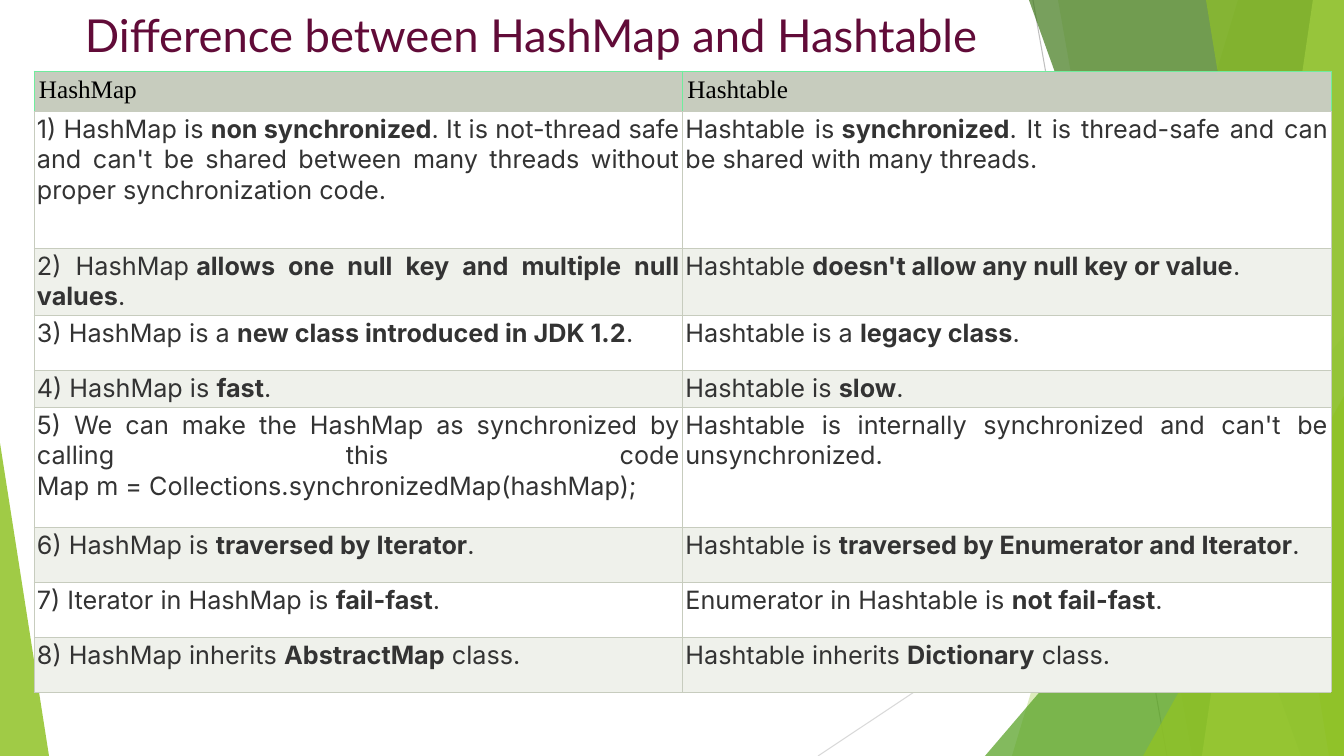
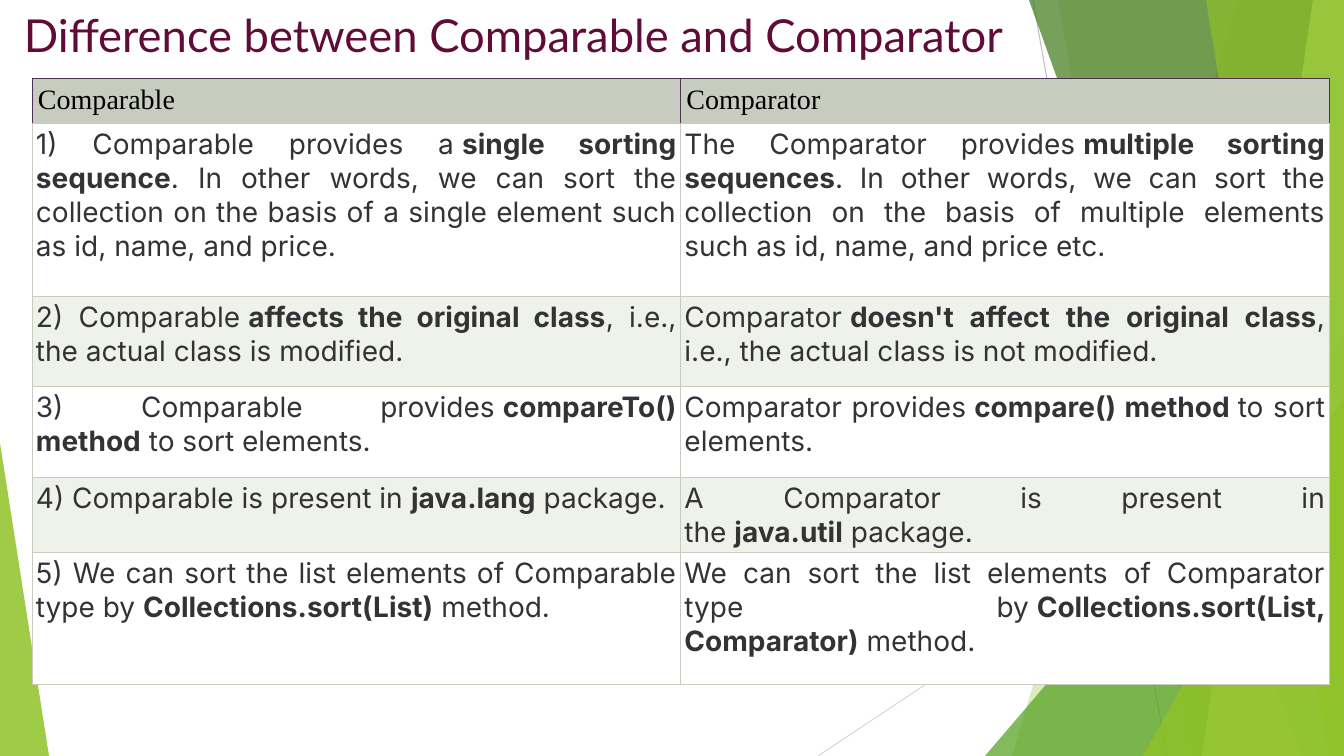
from lxml.etree import SubElement
from pptx import Presentation
from pptx.dml.color import RGBColor
from pptx.enum.shapes import MSO_CONNECTOR as Connector, MSO_SHAPE as Preset
from pptx.enum.text import PP_ALIGN as Align, MSO_ANCHOR as Anchor
from pptx.oxml.ns import qn
from pptx.util import Emu, Pt

SCALE = 914400 / 100.8
WIDTH, HEIGHT = 1344, 756
LIME, LEAF, FOREST, PALE = "90C226", "54A021", "3F7819", "C0E474"
TITLE_COLOR, HEADER_COLOR, BODY_COLOR = "610B38", "000000", "333333"
GRID, BAND, WHITE = "C7CCBE", "EFF1EB", "FFFFFF"
TITLE_FONT, HEADER_FONT, BODY_FONT = "Lato", "Times New Roman", "Inter"

RAYS = [((1033, 0), (1167, HEIGHT), "BFBFBF"), ((WIDTH, 406), (818, HEIGHT), "D9D9D9")]
FACETS = [
    ("blade", (1238, 1012), LIME, 30),
    ("blade", (1058, 1192), LIME, 20),
    ("corner", (985, 336, 359, 420, 1), LEAF, 72),
    ("blade", (1029, 1301), FOREST, 70),
    ("blade", (1313, 1202), PALE, 70),
    ("blade", (1206, 1329), LIME, 65),
    ("corner", (1143, 396, 201, 360, 1), LIME, 80),
    ("corner", (0, 443, 49, 313, 0), LIME, 85),
]

HASHMAP_ROWS = [
    (37, "HashMap", "Hashtable"),
    (137, "1) HashMap is\u00a0**non synchronized**. It is not-thread safe and can't be shared "
          "between many threads without proper synchronization code.",
     "Hashtable is\u00a0**synchronized**. It is thread-safe and can be shared with many threads."),
    (67, "2) HashMap\u00a0**allows one null key and multiple null values**.",
     "Hashtable\u00a0**doesn't allow any null key or value**."),
    (55, "3) HashMap is a\u00a0**new class introduced in JDK 1.2**.",
     "Hashtable is a\u00a0**legacy class**."),
    (37, "4) HashMap is\u00a0**fast**.", "Hashtable is\u00a0**slow**."),
    (120, "5) We can make the HashMap as synchronized by calling this code\v"
          "Map m = Collections.synchronizedMap(hashMap);",
     "Hashtable is internally synchronized and can't be unsynchronized."),
    (55, "6) HashMap is\u00a0**traversed by Iterator**.",
     "Hashtable is\u00a0**traversed by Enumerator and Iterator**."),
    (55, "7) Iterator in HashMap is\u00a0**fail-fast**.",
     "Enumerator in Hashtable is\u00a0**not fail-fast**."),
    (55, "8) HashMap inherits\u00a0**AbstractMap**\u00a0class.",
     "Hashtable inherits\u00a0**Dictionary**\u00a0class."),
]
COMPARABLE_ROWS = [
    (43, "Comparable", "Comparator"),
    (173, "1) Comparable provides a\u00a0**single sorting sequence**. In other words, we can sort "
          "the collection on the basis of a single element such as id, name, and price.",
     "The Comparator provides\u00a0**multiple sorting sequences**. In other words, we can sort "
     "the collection on the basis of multiple elements such as id, name, and price etc."),
    (90, "2) Comparable\u00a0**affects the original class**, i.e., the actual class is modified.",
     "Comparator\u00a0**doesn't affect the original class**, i.e., the actual class is not modified."),
    (91, "3) Comparable provides\u00a0**compareTo() method**\u00a0to sort elements.",
     "Comparator provides\u00a0**compare() method**\u00a0to sort elements."),
    (75, "4) Comparable is present in\u00a0**java.lang**\u00a0package.",
     "A Comparator is present in the\u00a0**java.util**\u00a0package."),
    (132, "5) We can sort the list elements of Comparable type by\u00a0"
          "**Collections.sort(List)**\u00a0method.",
     "We can sort the list elements of Comparator type by\u00a0"
     "**Collections.sort(List, Comparator)**\u00a0method."),
]


def px(length):
    return Emu(round(length * SCALE))


def color(value):
    return RGBColor.from_string(value)


def style_runs(para, font, size, value):
    for run in para.runs:
        run.font.name = font
        run.font.size = Pt(size)
        run.font.color.rgb = color(value)


def add_ray(page, start, end, value):
    ray = page.shapes.add_connector(Connector.STRAIGHT, *map(px, start + end))
    ray.line.color.rgb = color(value)
    ray.line.width = Pt(0.75)
    SubElement(ray.element.spPr, qn("a:effectLst"))


def add_blade(page, top_left, bottom_left):
    outline = page.shapes.build_freeform(top_left, 0, SCALE)
    outline.add_line_segments([(WIDTH, 0), (WIDTH, HEIGHT), (bottom_left, HEIGHT)])
    return outline.convert_to_shape()


def add_corner(page, left, top, width, height, apex):
    corner = page.shapes.add_shape(Preset.ISOSCELES_TRIANGLE, *map(px, (left, top, width, height)))
    corner.adjustments[0] = apex
    return corner


def add_backdrop(page):
    for ray in RAYS:
        add_ray(page, *ray)
    builders = {"blade": add_blade, "corner": add_corner}
    for kind, geometry, value, opacity in FACETS:
        facet = builders[kind](page, *geometry)
        facet.shadow.inherit = False
        facet.line.fill.background()
        facet.fill.solid()
        facet.fill.fore_color.rgb = color(value)
        tint = facet.element.spPr.find(qn("a:solidFill"))[0]
        SubElement(tint, qn("a:alpha"), val=str(opacity * 1000))


def add_title(page, box, title):
    frame = page.shapes.add_textbox(*map(px, box)).text_frame
    frame.word_wrap = True
    frame.vertical_anchor = Anchor.TOP
    frame.text = title
    style_runs(frame.paragraphs[0], TITLE_FONT, 32.4, TITLE_COLOR)


def set_borders(cell, **sides):
    properties = cell._tc.get_or_add_tcPr()
    for index, side in enumerate("LRTB"):
        line = SubElement(properties, qn("a:ln" + side), w=str(Pt(0.5)))
        fill = SubElement(line, qn("a:solidFill"))
        SubElement(fill, qn("a:srgbClr"), val=sides.get(side, GRID))
        properties.insert(index, line)


def fill_cell(cell, text, size, inset, shade):
    cell.margin_left = cell.margin_right = cell.margin_top = cell.margin_bottom = px(inset)
    cell.fill.solid()
    cell.fill.fore_color.rgb = color(shade)
    para = cell.text_frame.paragraphs[0]
    first, *rest = text.split("**")
    para.text = first
    for index, piece in enumerate(rest):
        span = para.add_run()
        span.text = piece
        span.font.bold = index % 2 == 0
    return para


def add_comparison(page, left, top, width, rows, size, edge, insets):
    heights = [row[0] for row in rows]
    box = (left, top, width, sum(heights))
    table = page.shapes.add_table(len(rows), 2, *map(px, box)).table
    table.first_row = table.horz_banding = False
    header_inset, body_inset = insets
    for index, (height, *texts) in enumerate(rows):
        table.rows[index].height = px(height)
        for column, text in enumerate(texts):
            cell = table.cell(index, column)
            if index == 0:
                para = fill_cell(cell, text, size, header_inset, GRID)
                style_runs(para, HEADER_FONT, size, HEADER_COLOR)
                set_borders(cell, L=edge, R=edge, T=edge)
            else:
                para = fill_cell(cell, text, size, body_inset, WHITE if index % 2 else BAND)
                para.alignment = Align.JUSTIFY
                style_runs(para, BODY_FONT, size, BODY_COLOR)
                set_borders(cell)


def add_page(deck, title, title_box, **comparison):
    page = deck.slides.add_slide(deck.slide_layouts[6])
    add_backdrop(page)
    add_title(page, title_box, title)
    add_comparison(page, width=1297, **comparison)


deck = Presentation()
deck.slide_width, deck.slide_height = px(WIDTH), px(HEIGHT)
add_page(deck, "Difference between HashMap and Hashtable", (75, 2, 948, 66),
         left=34, top=71, rows=HASHMAP_ROWS, size=18, edge="70EC9D", insets=(5, 3))
add_page(deck, "Difference between Comparable and Comparator", (14, 2, 1330, 66),
         left=32, top=78, rows=COMPARABLE_ROWS, size=20, edge="502F55", insets=(6, 4))
deck.save("out.pptx")
